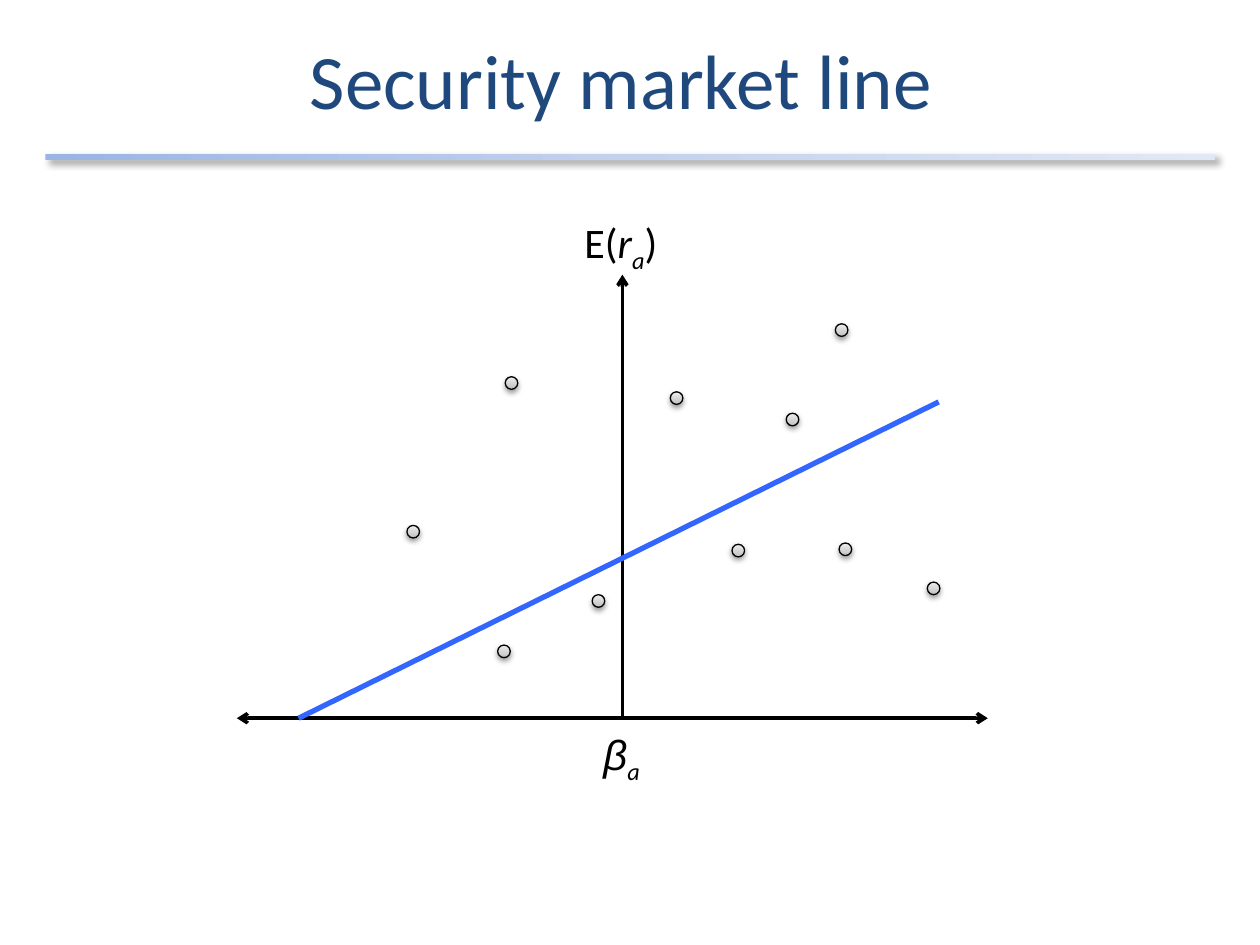
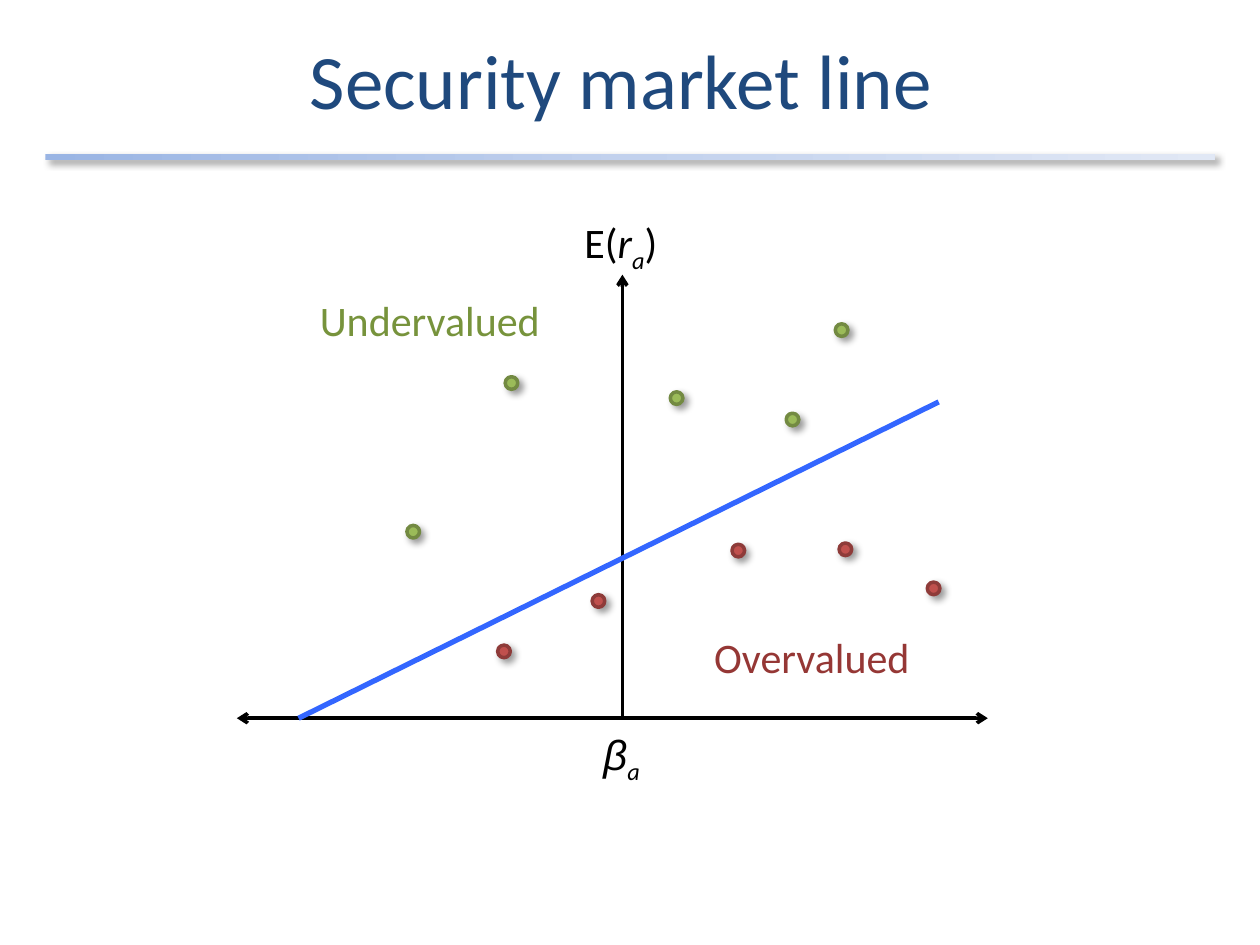
from dataclasses import dataclass

from lxml.etree import SubElement
from pptx import Presentation
from pptx.dml.color import RGBColor
from pptx.enum.shapes import MSO_CONNECTOR, MSO_SHAPE
from pptx.enum.text import MSO_ANCHOR, MSO_AUTO_SIZE, PP_ALIGN
from pptx.oxml.ns import qn
from pptx.util import Inches, Pt

COLORS = {
    "title": "1F497D", "ink": "000000", "market": "3366FF",
    "green": "9BBB59", "green_edge": "738A42", "green_text": "77933C",
    "red": "C0504D", "red_edge": "8E3B39", "red_text": "953735",
}
# Gradient stops: position in percent and colour
BAND_STOPS = ((0, "9AB5E4"), (50, "C2D1ED"), (100, "E1E8F5"))
GREY_STOPS = ((0, "BDBDBD"), (35, "D1D1D1"), (100, "EEEEEE"))


@dataclass(frozen=True)
class Shadow:
    alpha: int
    blur: float
    dist: float
    angle: int


@dataclass(frozen=True)
class DotStyle:
    edge: str
    width: float
    shadow: Shadow
    fill: str = ""  # empty means the grey gradient


@dataclass(frozen=True)
class Line:
    x1: float
    y1: float
    x2: float
    y2: float
    color: str = "ink"
    width: float = 2
    arrows: tuple = ()


@dataclass(frozen=True)
class Run:
    text: str
    color: str = "ink"
    size: int = 24
    font: str = "Calibri"
    italic: bool = False
    sub: bool = False


@dataclass(frozen=True)
class Label:
    left: float
    top: float
    width: float
    height: float
    runs: tuple


SIDE_SHADOW = Shadow(40, 4, 3, 45)
LOW_SHADOW = Shadow(38, 3.1, 1.6, 90)
NEUTRAL = DotStyle("ink", 0.75, LOW_SHADOW)
UNDER = DotStyle("green_edge", 2, SIDE_SHADOW, "green")
OVER = DotStyle("red_edge", 2, SIDE_SHADOW, "red")

# Chart geometry
AXIS_Y = 5.7
BETA_AXIS = Line(1.88, AXIS_Y, 7.84, AXIS_Y, arrows=("headEnd", "tailEnd"))
RETURN_AXIS = Line(4.94, AXIS_Y, 4.94, 2.18, arrows=("tailEnd",))
MARKET_LINE = Line(2.37, AXIS_Y, 7.45, 3.19, "market", 3)
DOT_SIZE = 0.1
SECURITIES = (
    (4.01, 2.99), (6.24, 3.28), (5.32, 3.11), (7.36, 4.62), (5.81, 4.32),
    (6.66, 4.31), (3.95, 5.12), (3.23, 4.17), (6.63, 2.57), (4.7, 4.72),
)

# Text
TITLE = Label(0, 0, 10, 1.25, (Run("Security market line ", "title", 44),))
RETURN_LABEL = Label(4.54, 1.67, 0.8, 0.5, (
    Run("E("), Run("r", italic=True), Run("a", italic=True, sub=True), Run(")")))
BETA_LABEL = Label(4.69, 5.73, 0.57, 0.5, (
    Run("β", font="Arial", italic=True), Run("a", italic=True, sub=True)))
VALUE_LABELS = (
    Label(5.57, 4.96, 1.77, 0.5, (Run("Overvalued", "red_text"),)),
    Label(2.44, 2.29, 1.97, 0.5, (Run("Undervalued", "green_text"),)),
)
FIT_FORMAT = {"word_wrap": False, "auto_size": MSO_AUTO_SIZE.SHAPE_TO_FIT_TEXT}
TITLE_FORMAT = {"word_wrap": True, "vertical_anchor": MSO_ANCHOR.MIDDLE}


def rgb(name: str) -> RGBColor:
    return RGBColor.from_string(COLORS[name])


def set_all(target, values: dict) -> None:
    for name, value in values.items():
        setattr(target, name, value)


def set_gradient(shape, stops: tuple, angle: int) -> None:
    shape.fill.gradient()
    grad = shape._element.spPr.find(qn("a:gradFill"))
    for child in list(grad):
        grad.remove(child)
    gs_list = SubElement(grad, qn("a:gsLst"))
    for position, color in stops:
        gs = SubElement(gs_list, qn("a:gs"), pos=str(position * 1000))
        SubElement(gs, qn("a:srgbClr"), val=color)
    SubElement(grad, qn("a:lin"), ang=str(angle * 60000), scaled="0")


def set_shadow(shape, shadow: Shadow) -> None:
    shape.shadow.inherit = False
    effects = shape._element.spPr.find(qn("a:effectLst"))
    outer = SubElement(effects, qn("a:outerShdw"), blurRad=str(Pt(shadow.blur)),
                       dist=str(Pt(shadow.dist)), dir=str(shadow.angle * 60000),
                       rotWithShape="0")
    color = SubElement(outer, qn("a:srgbClr"), val=COLORS["ink"])
    SubElement(color, qn("a:alpha"), val=str(shadow.alpha * 1000))


def add_label(s, label: Label, frame_format: dict, align=None) -> None:
    box = (label.left, label.top, label.width, label.height)
    tf = s.shapes.add_textbox(*map(Inches, box)).text_frame
    set_all(tf, frame_format)
    p = tf.paragraphs[0]
    p.alignment = align
    for run in label.runs:
        r = p.add_run()
        r.text = run.text
        set_all(r.font, {"name": run.font, "size": Pt(run.size), "italic": run.italic})
        r.font.color.rgb = rgb(run.color)
        if run.sub:
            r.font._element.set("baseline", "-25000")


def add_line(s, line: Line) -> None:
    ends = (line.x1, line.y1, line.x2, line.y2)
    c = s.shapes.add_connector(MSO_CONNECTOR.STRAIGHT, *map(Inches, ends))
    c.line.color.rgb = rgb(line.color)
    c.line.width = Pt(line.width)
    for end in line.arrows:
        SubElement(c.line._get_or_add_ln(), qn(f"a:{end}"), type="arrow")
    SubElement(c._element.spPr, qn("a:effectLst"))


def add_dot(s, x: float, y: float, style: DotStyle) -> None:
    sp = s.shapes.add_shape(MSO_SHAPE.OVAL, *map(Inches, (x, y, DOT_SIZE, DOT_SIZE)))
    if style.fill:
        sp.fill.solid()
        sp.fill.fore_color.rgb = rgb(style.fill)
    else:
        set_gradient(sp, GREY_STOPS, 270)
    sp.line.color.rgb = rgb(style.edge)
    sp.line.width = Pt(style.width)
    set_shadow(sp, style.shadow)


def value_style(x: float, y: float) -> DotStyle:
    """Securities above the market line are undervalued."""
    m = MARKET_LINE
    fair_y = m.y1 + (x - m.x1) * (m.y2 - m.y1) / (m.x2 - m.x1)
    return UNDER if y < fair_y else OVER


def add_market_slide(prs, valued: bool) -> None:
    s = prs.slides.add_slide(prs.slide_layouts[6])

    # Title and band
    add_label(s, TITLE, TITLE_FORMAT, PP_ALIGN.CENTER)
    band = s.shapes.add_shape(MSO_SHAPE.RECTANGLE, *map(Inches, (0.36, 1.22, 9.28, 0.05)))
    set_gradient(band, BAND_STOPS, 0)
    band.line.fill.background()
    set_shadow(band, SIDE_SHADOW)

    # Axes and market line
    add_line(s, BETA_AXIS)
    add_line(s, RETURN_AXIS)
    add_label(s, RETURN_LABEL, FIT_FORMAT)
    add_line(s, MARKET_LINE)

    # Securities and remaining labels
    for x, y in SECURITIES:
        add_dot(s, x, y, value_style(x, y) if valued else NEUTRAL)
    for label in (*(VALUE_LABELS if valued else ()), BETA_LABEL):
        add_label(s, label, FIT_FORMAT)


def main() -> None:
    prs = Presentation()
    prs.slide_width, prs.slide_height = Inches(10), Inches(7.5)
    for valued in (False, True):
        add_market_slide(prs, valued)
    prs.save("out.pptx")


if __name__ == "__main__":
    main()
